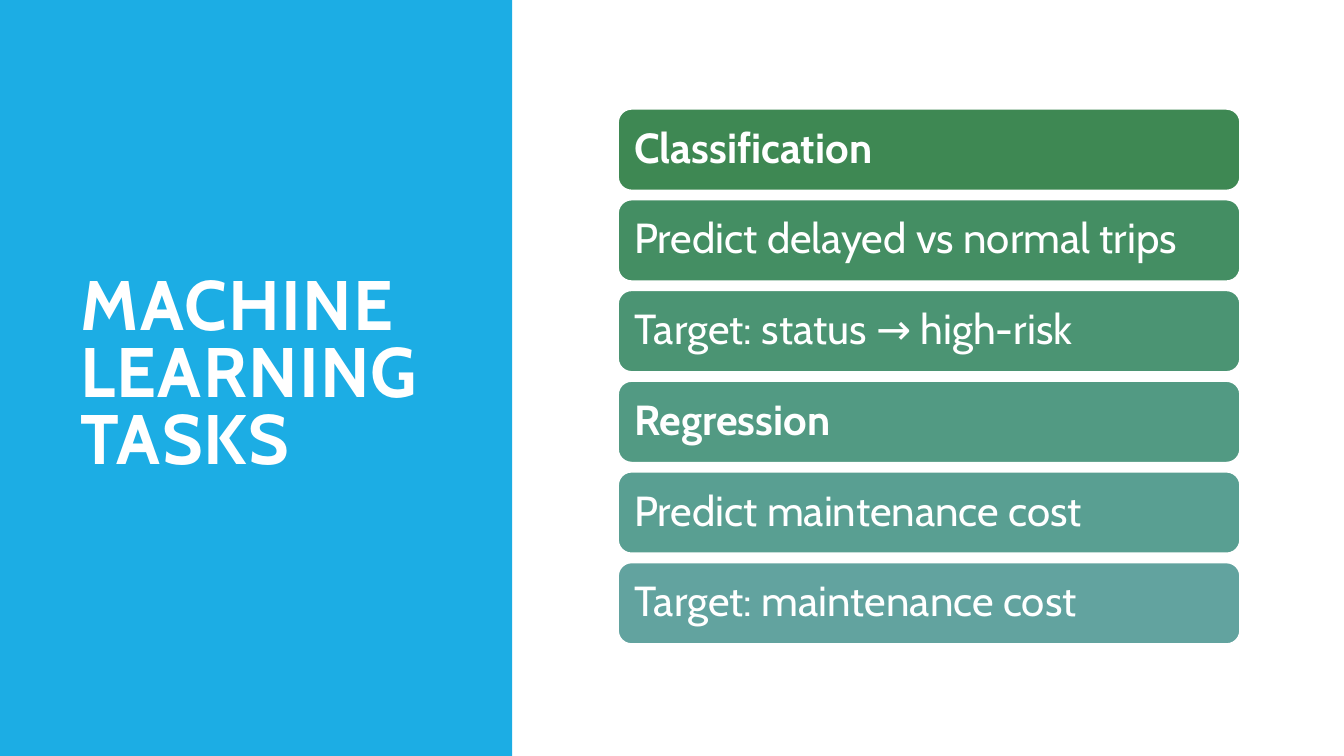
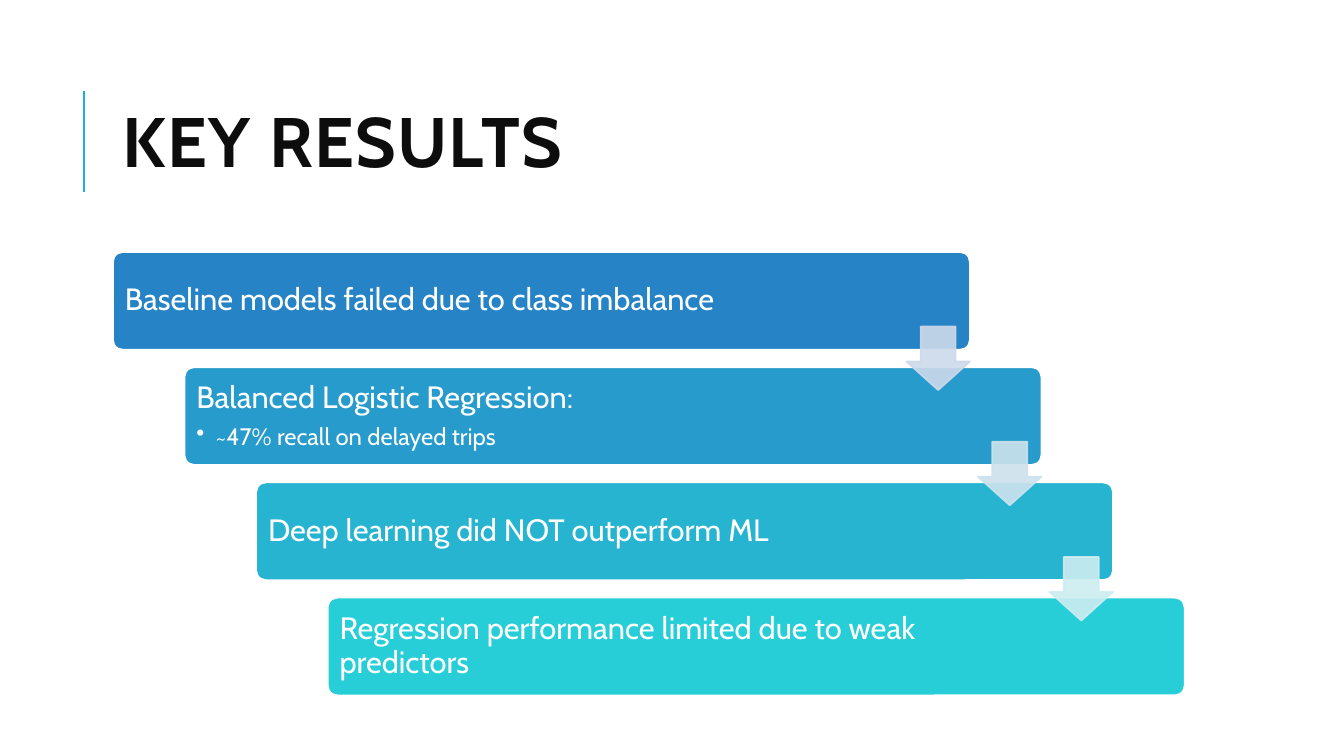
"""Build two slides: machine learning tasks and key results."""
from lxml import etree
from pptx import Presentation, util as u
from pptx.dml.color import RGBColor
from pptx.enum import shapes, text
from pptx.oxml.ns import qn

FONT = "Cabin"
WHITE = RGBColor(0xFF, 0xFF, 0xFF)
INK = RGBColor(0x0D, 0x0D, 0x0D)
ACCENT = RGBColor(0x1C, 0xAD, 0xE4)
GREENS = [RGBColor.from_string(c) for c in ("3E8853", "448E63", "4B9473", "529A83", "599F92", "62A39F")]
BLUES = [RGBColor.from_string(c) for c in ("2683C6", "269BCC", "27B4D1", "27CED7")]
PALES = [RGBColor.from_string(c) for c in ("CDD9EA", "CDE2ED", "CDEDF0")]
TITLE = {"size": u.Pt(50), "bold": True, "name": FONT}


def add_shape(s, kind, box, fill, line=None):
    sp = s.shapes.add_shape(kind, *[u.Inches(v) for v in box])
    sp.shadow.inherit = False
    sp.fill.solid()
    sp.fill.fore_color.rgb = fill
    if line is None:
        sp.line.fill.background()
    else:
        sp.line.color.rgb = line
        sp.line.width = u.Pt(1.25)
    return sp


def write(sp, lines, spacing, margins=(0.1, 0.05, 0.1, 0.05)):
    tf = sp.text_frame
    tf.word_wrap = True
    tf.vertical_anchor = text.MSO_ANCHOR.MIDDLE
    for side, m in zip(("left", "top", "right", "bottom"), margins):
        setattr(tf, "margin_" + side, u.Inches(m))
    for i, (words, font, color) in enumerate(lines):
        p = tf.paragraphs[0] if i == 0 else tf.add_paragraph()
        p.alignment = text.PP_ALIGN.LEFT
        p.line_spacing = spacing
        r = p.add_run()
        r.text = words
        for key, value in font.items():
            setattr(r.font, key, value)
        r.font.color.rgb = color
    return tf


prs = Presentation()
prs.slide_width, prs.slide_height = u.Inches(13.33), u.Inches(7.5)
blank = prs.slide_layouts[6]
tasks, results = [prs.slides.add_slide(blank) for _ in range(2)]

add_shape(tasks, shapes.MSO_SHAPE.RECTANGLE, (0, 0, 5.08, 7.5), ACCENT)

bar = results.shapes.add_connector(
    shapes.MSO_CONNECTOR.STRAIGHT, u.Inches(0.83), u.Inches(1.9), u.Inches(0.83), u.Inches(0.9))
bar.line.color.rgb = ACCENT
bar.line.width = u.Pt(1.5)
etree.SubElement(bar._element.spPr, qn("a:effectLst"))

for s, words, box, color in (
    (tasks, "MACHINE LEARNING TASKS", (0.7, 0.7, 3.74, 6.09), WHITE),
    (results, "KEY RESULTS", (1.12, 0.64, 10.63, 1.64), INK),
):
    sp = s.shapes.add_textbox(*[u.Inches(v) for v in box])
    tf = write(sp, [(words, TITLE, color)], 0.8)
    tf.paragraphs[0].runs[0].font._element.set("spc", "100")

task_rows = [
    ("Classification", True),
    ("Predict delayed vs normal trips", False),
    ("Target: status → high-risk", False),
    ("Regression", True),
    ("Predict maintenance cost", False),
    ("Target: maintenance cost", False),
]
for i, ((words, bold), fill) in enumerate(zip(task_rows, GREENS)):
    sp = add_shape(tasks, shapes.MSO_SHAPE.ROUNDED_RECTANGLE, (6.13, 1.08 + 0.9 * i, 6.17, 0.81), fill, WHITE)
    font = {"size": u.Pt(30), "bold": bold, "name": FONT}
    write(sp, [(words, font, WHITE)], 0.9, (0.12,) * 4)

step = {"size": u.Pt(22), "name": FONT}
detail = {"size": u.Pt(17), "name": FONT}
result_steps = [
    ["Baseline models failed due to class imbalance"],
    ["Balanced Logistic Regression:", "~47% recall on delayed trips"],
    ["Deep learning did NOT outperform ML"],
    ["Regression performance limited due to weak predictors"],
]
for i, (lines, fill) in enumerate(zip(result_steps, BLUES)):
    box = (1.12 + 0.71 * i, 2.5 + 1.143 * i, 8.5, 0.97)
    sp = add_shape(results, shapes.MSO_SHAPE.ROUNDED_RECTANGLE, box, fill, WHITE)
    sp.adjustments[0] = 0.1
    fonts = (step, detail)
    tf = write(sp, [(w, f, WHITE) for w, f in zip(lines, fonts)], 0.9, (0.09, 0.09, 1.42, 0.09))
    for p in tf.paragraphs[1:]:
        tf.paragraphs[0].space_after = u.Pt(7)
        p.level = 1
        pPr = p._p.get_or_add_pPr()
        pPr.set("marL", str(u.Inches(0.19)))
        pPr.set("indent", str(-u.Inches(0.19)))
        etree.SubElement(pPr, qn("a:buChar")).set("char", "•")

for i, pale in enumerate(PALES):
    box = (8.99 + 0.71 * i, 3.24 + 1.143 * i, 0.63, 0.63)
    sp = add_shape(results, shapes.MSO_SHAPE.DOWN_ARROW, box, pale, pale)
    sp.adjustments[0], sp.adjustments[1] = 0.55, 0.45
    for clr in sp._element.spPr.iter(qn("a:srgbClr")):
        etree.SubElement(clr, qn("a:alpha")).set("val", "90000")

prs.save("out.pptx")
